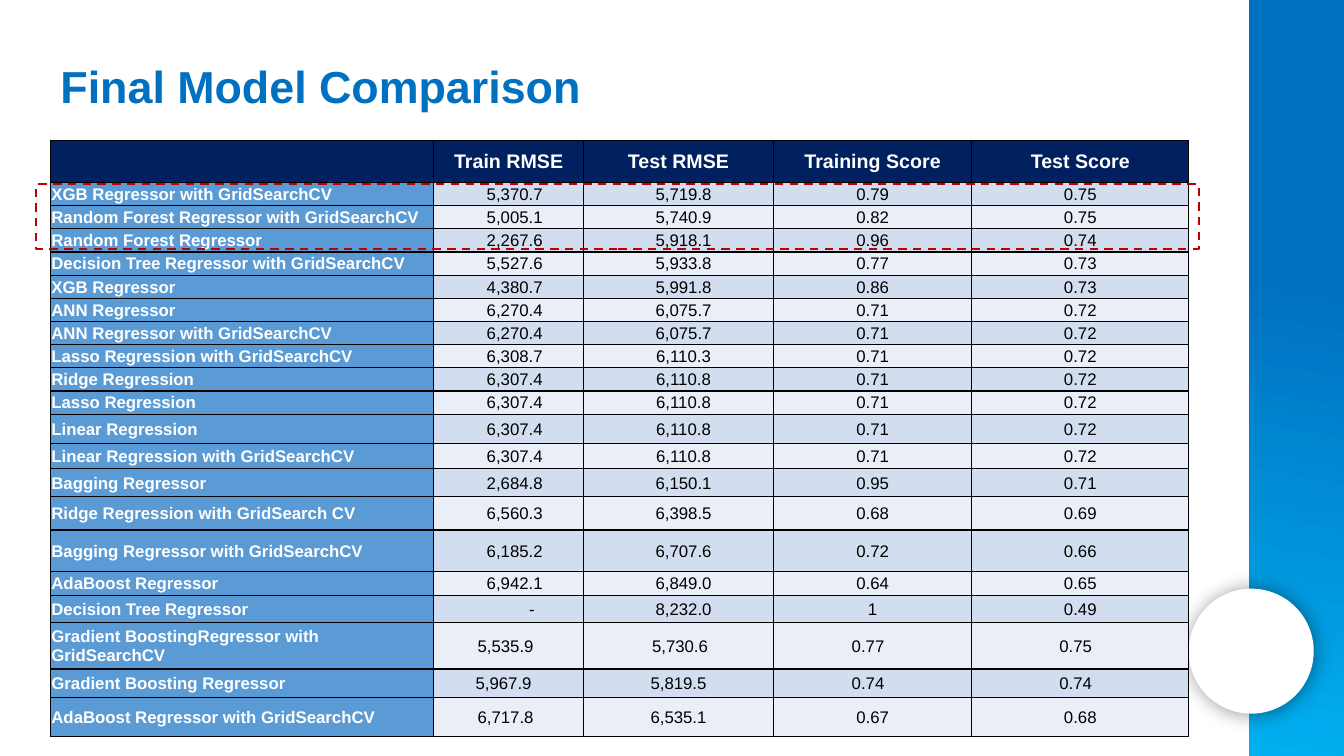
from lxml.etree import SubElement
from pptx import Presentation
from pptx.dml.color import RGBColor
from pptx.enum.dml import MSO_LINE
from pptx.enum.shapes import MSO_SHAPE
from pptx.enum.text import MSO_ANCHOR, PP_ALIGN
from pptx.oxml import parse_xml
from pptx.oxml.ns import nsdecls, qn
from pptx.util import Inches, Pt

COL_WIDTHS = [3.8, 1.49, 1.88, 1.97, 2.15]
ROW_HEIGHTS = [0.42] + [0.23] * 10 + [0.29, 0.25, 0.28, 0.33, 0.41, 0.24, 0.27, 0.46, 0.28, 0.39]
HEADER = ["", "Train RMSE", "Test RMSE", "Training Score", "Test Score"]
MODELS = [
    ("XGB Regressor with GridSearchCV", "5,370.7", "5,719.8", "0.79", "0.75"),
    ("Random Forest Regressor with GridSearchCV", "5,005.1", "5,740.9", "0.82", "0.75"),
    ("Random Forest Regressor", "2,267.6", "5,918.1", "0.96", "0.74"),
    ("Decision Tree Regressor with GridSearchCV", "5,527.6", "5,933.8", "0.77", "0.73"),
    ("XGB Regressor", "4,380.7", "5,991.8", "0.86", "0.73"),
    ("ANN Regressor", "6,270.4", "6,075.7", "0.71", "0.72"),
    ("ANN Regressor with GridSearchCV", "6,270.4", "6,075.7", "0.71", "0.72"),
    ("Lasso Regression with GridSearchCV", "6,308.7", "6,110.3", "0.71", "0.72"),
    ("Ridge Regression", "6,307.4", "6,110.8", "0.71", "0.72"),
    ("Lasso Regression", "6,307.4", "6,110.8", "0.71", "0.72"),
    ("Linear Regression", "6,307.4", "6,110.8", "0.71", "0.72"),
    ("Linear Regression with GridSearchCV", "6,307.4", "6,110.8", "0.71", "0.72"),
    ("Bagging Regressor", "2,684.8", "6,150.1", "0.95", "0.71"),
    ("Ridge Regression with GridSearch CV", "6,560.3", "6,398.5", "0.68", "0.69"),
    ("Bagging Regressor with GridSearchCV", "6,185.2", "6,707.6", "0.72", "0.66"),
    ("AdaBoost Regressor", "6,942.1", "6,849.0", "0.64", "0.65"),
    ("Decision Tree Regressor", "-", "8,232.0", "1", "0.49"),
    ("Gradient BoostingRegressor with GridSearchCV", "5,535.9", "5,730.6", "0.77", "0.75"),
    ("Gradient Boosting Regressor", "5,967.9", "5,819.5", "0.74", "0.74"),
    ("AdaBoost Regressor with GridSearchCV", "6,717.8", "6,535.1", "0.67", "0.68"),
]
# Extra left (+) or right (-) margin in inches, by column and by single cell
COL_SHIFTS = [0, 0.12, 0.1, 0, 0]
CELL_SHIFTS = {
    (17, 1): 0.46,
    (18, 1): -0.06, (18, 2): 0.03, (18, 3): -0.09, (18, 4): -0.09,
    (19, 1): -0.1, (19, 2): 0, (19, 3): -0.09, (19, 4): -0.09,
    (20, 1): -0.06, (20, 2): 0,
}


def rgb(value):
    return RGBColor.from_string(value)


class Deck:
    font = "Arial"
    blue, cyan, navy, red = "0070C0", "00B0F0", "002060", "C00000"
    white, black = "FFFFFF", "000000"
    name_fill, bands = "5B9BD5", ("EAEFF7", "D2DEEF")

    def __init__(self):
        self.prs = Presentation()
        self.prs.slide_width, self.prs.slide_height = Inches(13.33), Inches(7.5)
        self.s = self.prs.slides.add_slide(self.prs.slide_layouts[5])

    def style(self, p, size, color, bold, align=PP_ALIGN.LEFT):
        p.alignment = align
        for r in p.runs:
            r.font.name, r.font.size, r.font.bold = self.font, Pt(size), bold
            r.font.color.rgb = rgb(color)

    def title(self, text, *box):
        sp = self.s.shapes.title
        sp.left, sp.top, sp.width, sp.height = map(Inches, box)
        tf = sp.text_frame
        tf.text = text
        tf.word_wrap = True
        tf.vertical_anchor = MSO_ANCHOR.MIDDLE
        self.style(tf.paragraphs[0], 32, self.blue, True)

    def shape(self, kind, *box):
        sp = self.s.shapes.add_shape(kind, *map(Inches, box))
        sp.shadow.inherit = False
        sp.fill.background()
        sp.line.fill.background()
        return sp

    def gradient_band(self, *box):
        sp = self.shape(MSO_SHAPE.RECTANGLE, *box)
        sp.fill.gradient()
        sp.fill.gradient_angle = 260
        stops = sp.fill.gradient_stops
        for stop, position, color in zip(stops, (0.37, 1), (self.blue, self.cyan)):
            stop.position = position
            stop.color.rgb = rgb(color)

    def shadowed_circle(self, *box):
        sp = self.shape(MSO_SHAPE.OVAL, *box)
        sp.fill.solid()
        sp.fill.fore_color.rgb = rgb(self.white)
        effects = sp._element.spPr.find(qn("a:effectLst"))
        effects.append(parse_xml(
            f'<a:outerShdw {nsdecls("a")} blurRad="{Pt(14)}" dist="{Pt(1)}" dir="2580000">'
            f'<a:srgbClr val="{self.black}"><a:alpha val="40000"/></a:srgbClr></a:outerShdw>'))

    def dashed_frame(self, *box):
        line = self.shape(MSO_SHAPE.RECTANGLE, *box).line
        line.color.rgb = rgb(self.red)
        line.width, line.dash_style = Pt(1.5), MSO_LINE.DASH

    def cell(self, cell, text, fill, size, color, bold, align, margins):
        cell.text = text
        cell.vertical_anchor = MSO_ANCHOR.MIDDLE
        (cell.margin_left, cell.margin_top,
         cell.margin_right, cell.margin_bottom) = map(Inches, margins)
        self.style(cell.text_frame.paragraphs[0], size, color, bold, align)
        # Borders come before the fill in the cell properties
        tc_pr = cell._tc.get_or_add_tcPr()
        for side in ("a:lnL", "a:lnR", "a:lnT", "a:lnB"):
            ln = SubElement(tc_pr, qn(side), w=str(Pt(1)))
            SubElement(SubElement(ln, qn("a:solidFill")), qn("a:srgbClr"), val=self.black)
        cell.fill.solid()
        cell.fill.fore_color.rgb = rgb(fill)

    def table(self, header, rows, *box):
        table = self.s.shapes.add_table(len(rows) + 1, len(header), *map(Inches, box)).table
        table.first_row = table.horz_banding = False
        for column, width in zip(table.columns, COL_WIDTHS):
            column.width = Inches(width)
        for row, height in zip(table.rows, ROW_HEIGHTS):
            row.height = Inches(height)
        for j, text in enumerate(header):
            self.cell(table.cell(0, j), text, self.navy, 14, self.white, True,
                      PP_ALIGN.CENTER, (0.07, 0, 0.07, 0))
        for i, (name, *values) in enumerate(rows, 1):
            self.cell(table.cell(i, 0), name, self.name_fill, 12, self.white, True,
                      PP_ALIGN.LEFT, (0.01, 0.01, 0.01, 0))
            for j, value in enumerate(values, 1):
                shift = CELL_SHIFTS.get((i, j), COL_SHIFTS[j])
                margins = (0.01 + max(shift, 0), 0.01, 0.01 + max(-shift, 0), 0)
                self.cell(table.cell(i, j), value, self.bands[i % 2 == 1], 12, self.black,
                          False, PP_ALIGN.CENTER, margins)


def main():
    deck = Deck()
    # Side decoration
    deck.gradient_band(12.39, 0, 0.94, 7.5)
    deck.shadowed_circle(11.79, 5.84, 1.24, 1.24)
    # Title
    deck.title("Final Model Comparison", 0.5, 0.53, 10.66, 0.64)
    # Model scores, with the best three framed
    deck.table(HEADER, MODELS, 0.5, 1.39, 11.28, 5.9)
    deck.dashed_frame(0.36, 1.83, 11.53, 0.64)
    deck.prs.save("out.pptx")


if __name__ == "__main__":
    main()
